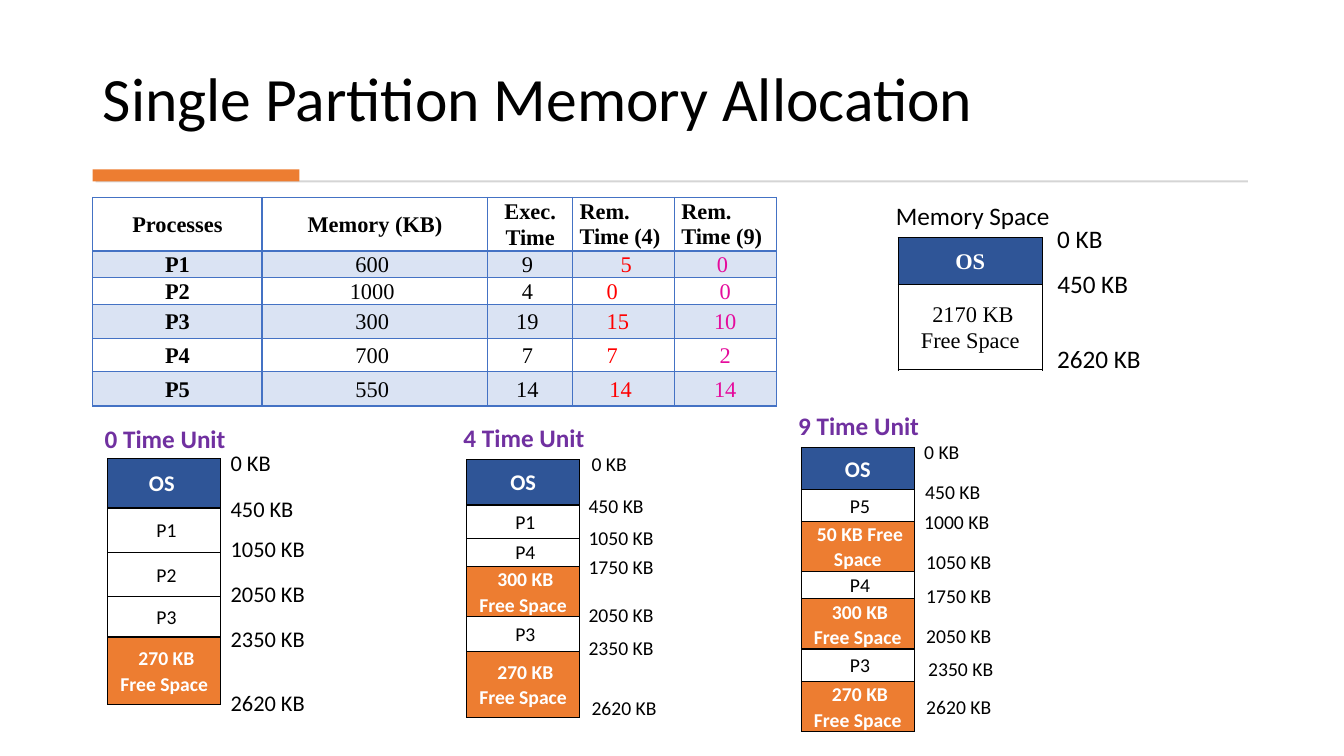
import pptx
import pptx.util
import pptx.oxml
import pptx.dml.color
import pptx.enum.text
import pptx.enum.shapes

STEP = pptx.util.Inches(0.1)
LEFT = pptx.enum.text.PP_ALIGN.LEFT
CENTER = pptx.enum.text.PP_ALIGN.CENTER
MIDDLE = pptx.enum.text.MSO_ANCHOR.MIDDLE

THEME = {
    "sans": "Calibri", "serif": "Times New Roman",
    "black": "000000", "white": "FFFFFF", "rule": "D5D5D5", "orange": "ED7D31",
    "navy": "2F5597", "grid": "4472C4", "band": "DAE3F3",
    "red": "FF0000", "pink": "E50B9C", "purple": "7030A0",
    "title": 44, "heading": 18, "table": 16, "block": 14,
}
BLOCK_STYLES = {
    "os": (THEME["navy"], THEME["white"], THEME["table"], True),
    "process": (None, THEME["black"], THEME["block"], False),
    "hole": (THEME["orange"], THEME["white"], THEME["block"], True),
    "empty": (THEME["white"], THEME["black"], THEME["table"], False),
}


def write(frame, text, font, size, color, bold=False, align=LEFT, spacing=1.0):
    frame.word_wrap = True
    for index, line in enumerate(text.split("\n")):
        paragraph = frame.add_paragraph() if index else frame.paragraphs[0]
        paragraph.alignment = align
        paragraph.line_spacing = spacing
        run = paragraph.add_run()
        run.text = line
        run.font.name = font
        run.font.size = pptx.util.Pt(size)
        run.font.bold = bold
        run.font.color.rgb = pptx.dml.color.RGBColor.from_string(color)


def dress(cell, fill, border, bottom=1):
    cell.vertical_anchor = MIDDLE
    cell.margin_left = cell.margin_right = pptx.util.Inches(0.07)
    cell.margin_top = cell.margin_bottom = 0
    if fill:
        cell.fill.solid()
        cell.fill.fore_color.rgb = pptx.dml.color.RGBColor.from_string(fill)
    else:
        cell.fill.background()
    properties = cell._tc.get_or_add_tcPr()
    for index, side in enumerate("LRTB"):
        width = pptx.util.Pt(bottom if side == "B" else 1)
        properties.insert(index, pptx.oxml.parse_xml(
            f'<a:ln{side} xmlns:a="http://schemas.openxmlformats.org/drawingml/2006/main" w="{width}">'
            f'<a:solidFill><a:srgbClr val="{border}"/></a:solidFill></a:ln{side}>'))


deck = pptx.Presentation()
deck.slide_width = round(133.33 * STEP)
deck.slide_height = 75 * STEP
slide = deck.slides.add_slide(deck.slide_layouts[5])

title = slide.shapes.title
title.left, title.top, title.width, title.height = (round(n * STEP) for n in (9.2, 2.8, 114.9, 11.1))
title.text_frame.auto_size = pptx.enum.text.MSO_AUTO_SIZE.NONE
title.text_frame.vertical_anchor = pptx.enum.text.MSO_ANCHOR.BOTTOM
write(title.text_frame, "Single Partition Memory Allocation", THEME["sans"], THEME["title"],
      THEME["black"], spacing=0.9)

for box, color in (((9.5, 17.9, 114.3, 0.2), THEME["rule"]), ((9.2, 16.8, 20.5, 1.2), THEME["orange"])):
    bar = slide.shapes.add_shape(pptx.enum.shapes.MSO_SHAPE.RECTANGLE, *(round(n * STEP) for n in box))
    bar.shadow.inherit = False
    bar.fill.solid()
    bar.fill.fore_color.rgb = pptx.dml.color.RGBColor.from_string(color)
    bar.line.fill.background()

process_rows = [
    ("Processes", "Memory (KB)", "Exec. Time", "Rem. Time (4)", "Rem. Time (9)"),
    ("P1", "600 ", "9 ", " 5", "0 "),
    ("P2", "1000 ", "4 ", "0", "0"),
    ("P3", "300 ", "19 ", "15", "10"),
    ("P4", "700 ", "7 ", "7", "2"),
    ("P5", "550 ", "14 ", "14 ", "14"),
]
process_widths = (16.8, 22.4, 8.4, 10.1, 10.1)
process_heights = (5.3, 2.6, 2.6, 3.4, 3.3, 3.4)
column_colors = (THEME["black"],) * 3 + (THEME["red"], THEME["pink"])
right_indents = {(2, 3): 16, (3, 3): 8, (4, 3): 16}

processes = slide.shapes.add_table(
    len(process_rows), len(process_widths),
    *(round(n * STEP) for n in (9.2, 19.6, sum(process_widths), sum(process_heights)))).table
processes.first_row = processes.horz_banding = False
for column, width in zip(processes.columns, process_widths):
    column.width = round(width * STEP)
for r, values in enumerate(process_rows):
    processes.rows[r].height = round(process_heights[r] * STEP)
    for c, value in enumerate(values):
        cell = processes.cell(r, c)
        dress(cell, THEME["band"] if r % 2 else None, THEME["grid"], 1 if r else 2)
        cell.margin_right += pptx.util.Pt(right_indents.get((r, c), 0))
        remaining_header = r == 0 and c > 2
        write(cell.text_frame, value, THEME["serif"], THEME["table"],
              column_colors[c] if r else THEME["black"], r == 0 or c == 0,
              LEFT if remaining_header else CENTER, 1.0 if remaining_header else 1.07)

memory_maps = [
    {"heading": ("Memory Space", 87.9, 19.4, 18.7), "color": THEME["black"], "font": THEME["serif"],
     "at": (89.1, 23.6), "width": 14.3, "label_size": 18,
     "blocks": [("os", "OS", 4.6), ("empty", " 2170 KB\nFree Space", 8.5)],
     "labels": [("0 KB", 103.9, 21.7), ("450 KB", 103.9, 26.1), ("2620 KB", 103.9, 33.6)]},
    {"heading": ("0 Time Unit", 9.4, 41.5, 15.3), "color": THEME["purple"], "font": THEME["sans"],
     "at": (10.7, 45.5), "width": 11.2, "label_size": 16,
     "blocks": [("os", "OS ", 4.9), ("process", " P1", 4.4), ("process", " P2", 4.4),
                ("process", " P3", 4), ("hole", " 270 KB\nFree Space", 6.7)],
     "labels": [("0 KB", 21.9, 44.1), ("450 KB", 21.9, 48.6), ("1050 KB", 21.9, 52.6),
                ("2050 KB", 21.9, 57.1), ("2350 KB", 21.9, 61.5), ("2620 KB", 21.9, 67.9)]},
    {"heading": ("4 Time Unit", 45, 41.4, 15.3), "color": THEME["purple"], "font": THEME["sans"],
     "at": (46.3, 45.6), "width": 11.2, "label_size": 14,
     "blocks": [("os", " OS ", 4.5), ("process", " P1", 3.3), ("process", " P4", 2.8),
                ("hole", " 300 KB Free Space", 5), ("process", " P3", 3.4),
                ("hole", " 270 KB Free Space", 6.6)],
     "labels": [("0 KB", 57.7, 44.3), ("450 KB", 57.4, 48.5), ("1050 KB", 57.4, 51.7),
                ("1750 KB", 57.4, 54.6), ("2050 KB", 57.4, 59.3), ("2350 KB", 57.4, 62.6),
                ("2620 KB", 57.7, 68.5)]},
    {"heading": ("9 Time Unit", 78.2, 40.2, 15.3), "color": THEME["purple"], "font": THEME["sans"],
     "at": (79.5, 44.4), "width": 11.2, "label_size": 14,
     "blocks": [("os", "OS", 4.2), ("process", " P5", 3.1), ("hole", " 50 KB Free Space", 5),
                ("process", " P4", 2.7), ("hole", " 300 KB Free Space", 5),
                ("process", " P3", 3.2), ("hole", " 270 KB Free Space", 5)],
     "labels": [("0 KB", 90.7, 43.2), ("450 KB", 90.8, 47.1), ("1000 KB", 90.7, 50.1),
                ("1050 KB", 90.9, 54.1), ("1750 KB", 90.9, 57.4), ("2050 KB", 90.9, 61.4),
                ("2350 KB", 91.1, 64.7), ("2620 KB", 90.9, 68.4)]},
]
label_widths = {4: 6.6, 6: 9.5, 7: 10.7}
label_heights = {18: 4, 16: 3.7, 14: 3.4}

for memory in memory_maps:
    text, left, top, width = memory["heading"]
    heading = slide.shapes.add_textbox(*(round(n * STEP) for n in (left, top, width, 4)))
    write(heading.text_frame, text, THEME["sans"], THEME["heading"], memory["color"],
          memory["color"] == THEME["purple"])

    blocks = memory["blocks"]
    total = sum(height for kind, text, height in blocks)
    partitions = slide.shapes.add_table(
        len(blocks), 1, *(round(n * STEP) for n in (*memory["at"], memory["width"], total))).table
    partitions.first_row = partitions.horz_banding = False
    for r, (kind, text, height) in enumerate(blocks):
        fill, color, size, bold = BLOCK_STYLES[kind]
        partitions.rows[r].height = round(height * STEP)
        dress(partitions.cell(r, 0), fill, THEME["black"])
        write(partitions.cell(r, 0).text_frame, text, memory["font"], size, color, bold, CENTER, 1.07)

    addresses = slide.shapes.add_group_shape()
    for text, left, top in memory["labels"]:
        size = memory["label_size"]
        address = addresses.shapes.add_textbox(
            *(round(n * STEP) for n in (left, top, label_widths[len(text)], label_heights[size])))
        write(address.text_frame, text, THEME["sans"], size, THEME["black"])

deck.save("out.pptx")
